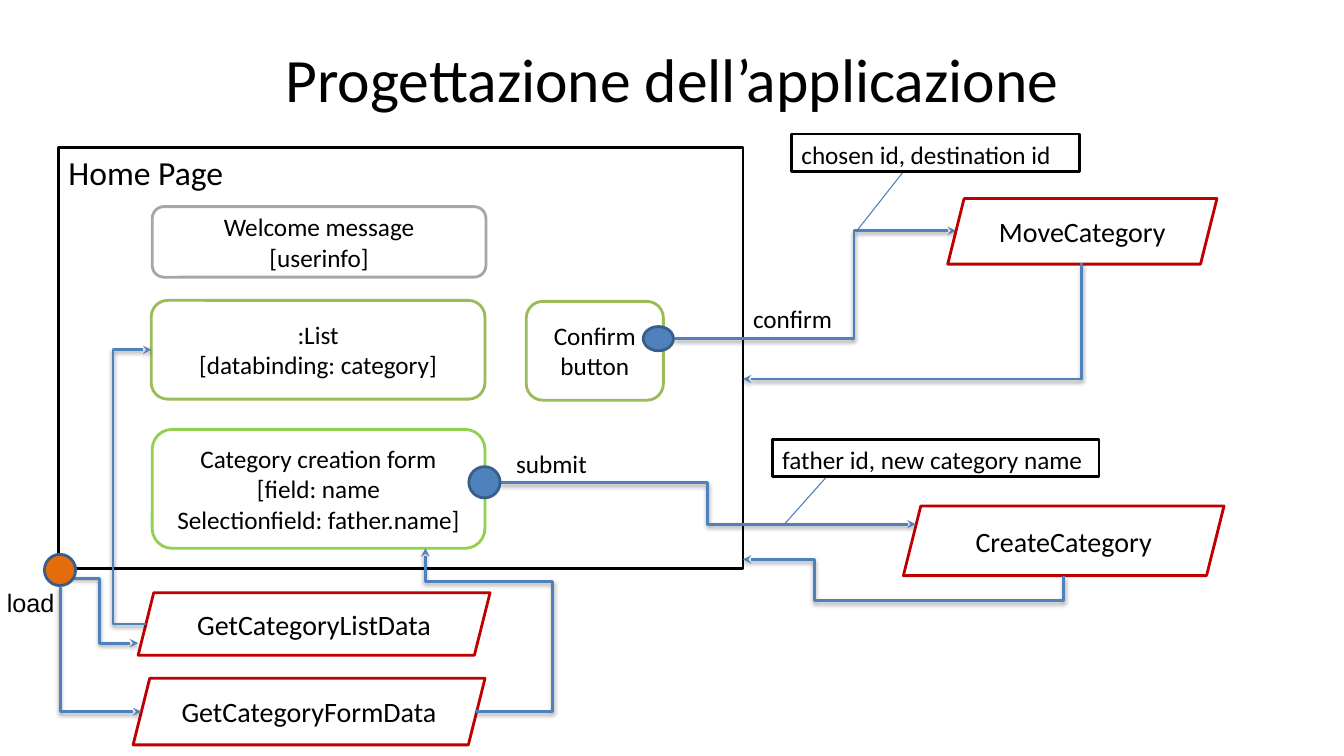
"""Draw the application design slide: home page, components, actions and their links."""
from dataclasses import dataclass
from itertools import pairwise

from lxml.etree import SubElement
from pptx import Presentation
from pptx.dml.color import RGBColor
from pptx.enum.shapes import MSO_CONNECTOR, MSO_SHAPE
from pptx.enum.text import MSO_ANCHOR, PP_ALIGN
from pptx.oxml.ns import qn
from pptx.shapes.connector import Connector
from pptx.slide import Slide
from pptx.text.text import TextFrame
from pptx.util import Pt

PX = 9144
COLOURS = {
    "black": "000000", "white": "FFFFFF", "red": "C00000", "grey": "A6A6A6",
    "green": "9BBB59", "lime": "92D050", "blue": "4F81BD", "callout": "4A7DBA",
    "outline": "395E89", "orange": "E46C0A",
}
Point = tuple[int, int]
Box = tuple[int, int, int, int]


@dataclass(frozen=True)
class Node:
    kind: MSO_SHAPE
    box: Box
    line: str
    paragraphs: tuple[str, ...] = ()
    size: int = 18
    centred: bool = True
    fill: str = "white"


@dataclass(frozen=True)
class Label:
    box: Box
    text: str
    size: int = 18
    font: str = "Calibri"
    centred: bool = False


@dataclass(frozen=True)
class Flow:
    route: tuple[Point, ...]


@dataclass(frozen=True)
class Callout:
    start: Point
    end: Point


def component(box: Box, line: str, *paragraphs: str) -> Node:
    return Node(MSO_SHAPE.ROUNDED_RECTANGLE, box, line, paragraphs)


def action(box: Box, name: str) -> Node:
    return Node(MSO_SHAPE.PARALLELOGRAM, box, "red", (name,), 20)


def frame(box: Box, text: str, size: int = 18) -> Node:
    return Node(MSO_SHAPE.RECTANGLE, box, "black", (text,), size, centred=False)


def event(box: Box, fill: str = "blue") -> Node:
    return Node(MSO_SHAPE.OVAL, box, "outline", fill=fill)


ITEMS = (
    Label((217, 30, 900, 94), "Progettazione dell’applicazione", 44, centred=True),
    frame((58, 146, 679, 418), "Home Page", 24),
    component((151, 426, 330, 118), "lime",
              "Category creation form\n[field: name", "Selectionfield: father.name]"),
    action((896, 502, 318, 69), "CreateCategory"),
    Flow(((1055, 571), (1055, 596), (808, 596), (808, 555), (737, 555))),
    component((150, 298, 331, 98), "green", ":List", "[databinding: category]"),
    frame((766, 436, 324, 37), "father id, new category name"),
    Callout((819, 474), (778, 520)),
    Label((737, 296, 142, 35), "confirm"),
    Flow(((669, 336), (847, 336), (847, 229), (948, 229))),
    Label((502, 440, 91, 30), "submit"),
    Flow(((496, 479), (702, 479), (702, 520), (908, 520))),
    action((940, 197, 267, 65), "MoveCategory"),
    Flow(((1073, 261), (1073, 376), (737, 376))),
    Callout((901, 164), (849, 230)),
    frame((785, 133, 286, 37), "chosen id, destination id"),
    event((465, 463, 31, 31)),
    component((151, 205, 331, 70), "grey", "Welcome message", "[userinfo]"),
    Flow(((60, 574), (99, 574), (99, 638), (137, 638))),
    action((137, 588, 349, 62), "GetCategoryListData"),
    Flow(((145, 619), (112, 619), (112, 347), (150, 347))),
    action((132, 673, 349, 66), "GetCategoryFormData"),
    event((44, 550, 31, 31), "orange"),
    Flow(((60, 581), (60, 706), (140, 706))),
    Flow(((472, 706), (548, 706), (548, 577), (422, 577), (422, 544))),
    Label((-3, 578, 74, 40), "load", font="Arial"),
    component((522, 299, 136, 98), "green", "Confirm button"),
    event((638, 324, 30, 24)),
)


def colour(name: str) -> RGBColor:
    return RGBColor.from_string(COLOURS[name])


def write(text_frame: TextFrame, paragraphs: tuple[str, ...], size: int,
          centred: bool, font: str = "Calibri") -> None:
    text_frame.word_wrap = True
    text_frame.vertical_anchor = MSO_ANCHOR.MIDDLE if centred else MSO_ANCHOR.TOP
    for index, text in enumerate(paragraphs):
        paragraph = text_frame.add_paragraph() if index else text_frame.paragraphs[0]
        paragraph.alignment = PP_ALIGN.CENTER if centred else PP_ALIGN.LEFT
        for number, line in enumerate(text.split("\n")):
            if number:
                paragraph.add_line_break()
            run = paragraph.add_run()
            run.text = line
            run.font.name = font
            run.font.size = Pt(size)
            run.font.color.rgb = colour("black")


def draw_node(slide: Slide, node: Node) -> None:
    shape = slide.shapes.add_shape(node.kind, *(PX * length for length in node.box))
    shape.shadow.inherit = False
    shape.fill.solid()
    shape.fill.fore_color.rgb = colour(node.fill)
    shape.line.color.rgb = colour(node.line)
    shape.line.width = Pt(2)
    write(shape.text_frame, node.paragraphs, node.size, node.centred)


def draw_label(slide: Slide, label: Label) -> None:
    shape = slide.shapes.add_textbox(*(PX * length for length in label.box))
    write(shape.text_frame, (label.text,), label.size, label.centred, label.font)


def add_line(slide: Slide, kind: MSO_CONNECTOR, start: Point, end: Point,
             line: str, width: float) -> Connector:
    connector = slide.shapes.add_connector(kind, *(PX * length for length in start + end))
    connector.line.color.rgb = colour(line)
    connector.line.width = Pt(width)
    return connector


def draw_callout(slide: Slide, callout: Callout) -> None:
    connector = add_line(slide, MSO_CONNECTOR.STRAIGHT, callout.start, callout.end, "callout", 0.75)
    SubElement(connector.element.spPr, qn("a:effectLst"))


def draw_flow(slide: Slide, flow: Flow) -> None:
    start, end = flow.route[0], flow.route[-1]
    connector = add_line(slide, MSO_CONNECTOR.ELBOW, start, end, "blue", 2)
    properties = connector.element.spPr
    vertical = start[0] == flow.route[1][0]
    across, down = end[0] - start[0], end[1] - start[1]
    if vertical:
        connector.width, connector.height = abs(down) * PX, abs(across) * PX
        connector.left = (start[0] + end[0] - abs(down)) * PX // 2
        connector.top = (start[1] + end[1] - abs(across)) * PX // 2
        across, down = down, -across
        properties.xfrm.set("rot", "5400000")
    properties.xfrm.set("flipH", str(int(across < 0)))
    properties.xfrm.set("flipV", str(int(down < 0)))

    geometry = properties.find(qn("a:prstGeom"))
    geometry.set("prst", f"bentConnector{len(flow.route) - 1}")
    guides = geometry.get_or_add_avLst()
    for number, (before, bend) in enumerate(pairwise(flow.route[:-2]), 1):
        axis = int(before[0] == bend[0])
        share = (bend[axis] - start[axis]) / (end[axis] - start[axis])
        SubElement(guides, qn("a:gd"), name=f"adj{number}", fmla=f"val {round(share * 100000)}")

    SubElement(properties.find(qn("a:ln")), qn("a:tailEnd"), type="stealth")
    effects = SubElement(properties, qn("a:effectLst"))
    shadow = SubElement(effects, qn("a:outerShdw"), blurRad="40000", dist="20000",
                        dir="5400000", rotWithShape="0")
    tint = SubElement(shadow, qn("a:srgbClr"), val=COLOURS["black"])
    SubElement(tint, qn("a:alpha"), val="38000")


def main() -> None:
    presentation = Presentation()
    presentation.slide_width, presentation.slide_height = 1333 * PX, 750 * PX
    slide = presentation.slides.add_slide(presentation.slide_layouts[6])
    painters = {Node: draw_node, Label: draw_label, Flow: draw_flow, Callout: draw_callout}
    for item in ITEMS:
        painters[type(item)](slide, item)
    presentation.save("out.pptx")


if __name__ == "__main__":
    main()
